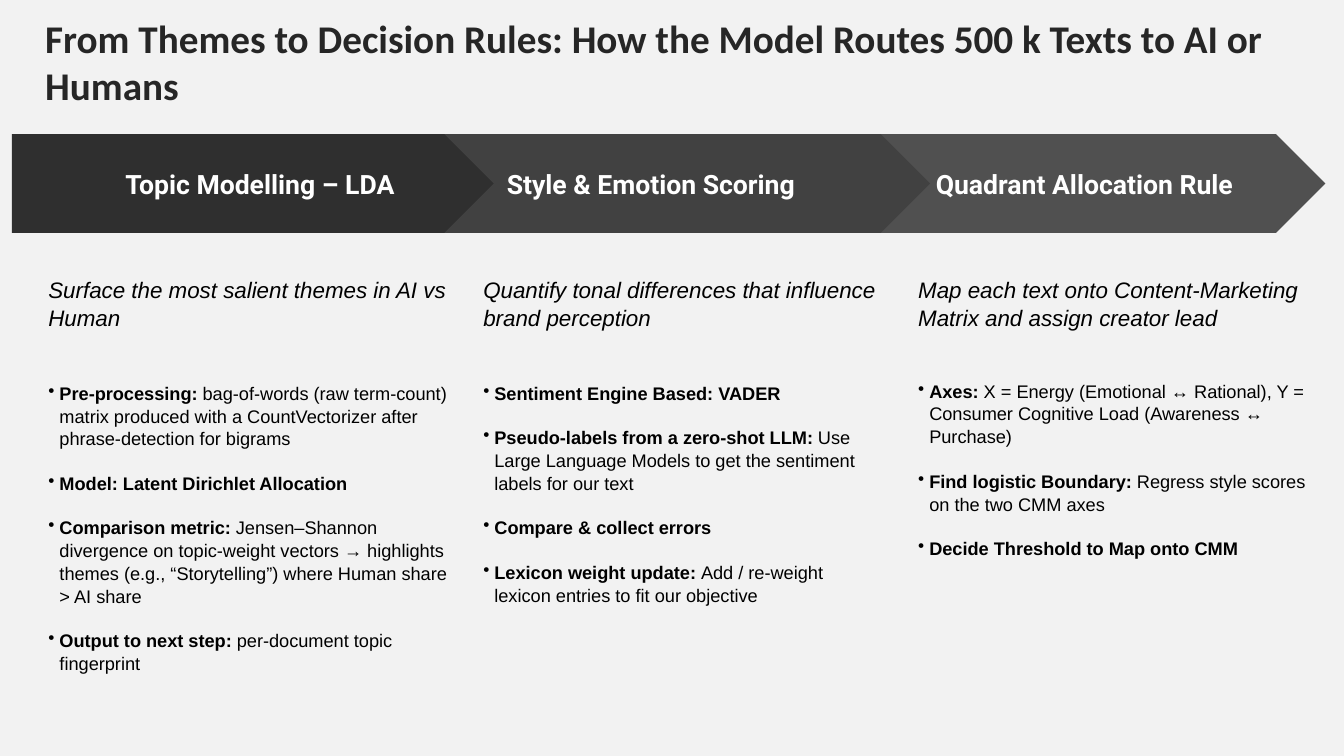
from lxml import etree
from pptx import Presentation, util as u
from pptx.dml.color import RGBColor
from pptx.enum import shapes, text
from pptx.oxml.ns import qn

# Content: each point is (bold lead-in, plain rest)
TITLE = "From Themes to Decision Rules: How the Model Routes 500 k Texts to AI or Humans"
STAGES = [
    dict(name="Topic Modelling – LDA",
         aim="Surface the most salient themes in AI vs Human",
         points=[
             ("Pre‑processing:", " bag‑of‑words (raw term‑count) matrix produced with a "
              "CountVectorizer after phrase‑detection for bigrams"),
             ("Model: Latent Dirichlet Allocation", ""),
             ("Comparison metric:", " Jensen–Shannon divergence on topic‑weight vectors → "
              "highlights themes (e.g., “Storytelling”) where Human share > AI share"),
             ("Output to next step:", " per‑document topic fingerprint")]),
    dict(name="Style & Emotion Scoring",
         aim="Quantify tonal differences that influence brand perception",
         points=[
             ("Sentiment Engine Based: VADER", ""),
             ("Pseudo‑labels from a zero‑shot LLM: ",
              "Use Large Language Models to get the sentiment labels for our text"),
             ("Compare & collect errors", ""),
             ("Lexicon weight update: ",
              "Add / re‑weight lexicon entries to fit our objective")]),
    dict(name="Quadrant Allocation Rule",
         aim="Map each text onto Content‑Marketing Matrix and assign creator lead",
         points=[
             ("Axes: ", "X = Energy (Emotional ↔ Rational), "
              "Y = Consumer Cognitive Load (Awareness ↔ Purchase)"),
             ("Find logistic Boundary: ", "Regress style scores on the two CMM axes"),
             ("Decide Threshold to Map onto CMM", "")]),
]

THEME = dict(back="F2F2F2", title="262626", body="000000", label="FFFFFF",
             bands=["2F2F2F", "414141", "505050"],
             title_pt=28, label_pt=19, aim_pt=16, point_pt=13,
             head="Calibri", font="Arial", band_font="Roboto")

# Layout in cm
PAD = 0.33
COL_X, COL_STEP, COL_Y = 0.89, 10.96, 6.6
COL_SIZE = [(10.74, 11.3), (10.74, 9.68), (10.44, 9.68)]
BAND_Y, BAND_H = 3.38, 2.49
BANDS = [(0.3, 13.13, PAD), (11.2, 12.24, PAD), (21.16, 12.24, 1.18)]  # left, width, inset
AIM_GAP = [36, 36, 34.5]  # points
POINT_GAP, LEADING, HANG = 15.6, 1.04, 0.28


def put(para, words, size, color, font=THEME["font"], bold=False, italic=False):
    run = para.add_run()
    run.text = words
    f = run.font
    f.name, f.size, f.bold, f.italic = font, u.Pt(size), bold, italic
    f.color.rgb = RGBColor.from_string(color)


def frame(shape, anchor, left=PAD, pad=PAD):
    tf = shape.text_frame
    tf.word_wrap, tf.auto_size = True, text.MSO_AUTO_SIZE.NONE
    tf.vertical_anchor = anchor
    tf.margin_left = u.Cm(left)
    tf.margin_right = tf.margin_top = tf.margin_bottom = u.Cm(pad)
    return tf


def bullet(para):
    props = para._p.get_or_add_pPr()
    props.set("marL", str(u.Cm(HANG)))
    props.set("indent", str(-u.Cm(HANG)))
    etree.SubElement(props, qn("a:buChar")).set("char", "•")


def column(slide, i, stage):
    wide, high = COL_SIZE[i]
    box = slide.shapes.add_textbox(u.Cm(COL_X + i * COL_STEP), u.Cm(COL_Y),
                                   u.Cm(wide), u.Cm(high))
    tf = frame(box, text.MSO_ANCHOR.TOP)
    para = tf.paragraphs[0]
    para.line_spacing = LEADING
    put(para, stage["aim"], THEME["aim_pt"], THEME["body"], italic=True)
    for n, (lead, rest) in enumerate(stage["points"]):
        para = tf.add_paragraph()
        bullet(para)
        para.line_spacing = LEADING
        para.space_before = u.Pt(POINT_GAP if n else AIM_GAP[i])
        put(para, lead, THEME["point_pt"], THEME["body"], bold=True)
        if rest:
            put(para, rest, THEME["point_pt"], THEME["body"])


def band(slide, i, stage):
    left, wide, inset = BANDS[i]
    kind = shapes.MSO_SHAPE.CHEVRON if i else shapes.MSO_SHAPE.PENTAGON
    arrow = slide.shapes.add_shape(kind, u.Cm(left), u.Cm(BAND_Y), u.Cm(wide), u.Cm(BAND_H))
    arrow.shadow.inherit = False
    arrow.fill.solid()
    arrow.fill.fore_color.rgb = RGBColor.from_string(THEME["bands"][i])
    arrow.line.fill.background()
    para = frame(arrow, text.MSO_ANCHOR.MIDDLE, left=inset).paragraphs[0]
    para.alignment = text.PP_ALIGN.LEFT if i else text.PP_ALIGN.CENTER
    put(para, stage["name"], THEME["label_pt"], THEME["label"],
        font=THEME["band_font"], bold=True)


def main():
    deck = Presentation()
    deck.slide_width, deck.slide_height = u.Cm(33.87), u.Cm(19.05)
    slide = deck.slides.add_slide(deck.slide_layouts[5])
    slide.background.fill.solid()
    slide.background.fill.fore_color.rgb = RGBColor.from_string(THEME["back"])

    # Title
    head = slide.shapes.title
    head.left, head.top, head.width, head.height = map(u.Cm, (0.89, 0.23, 33.68, 2.64))
    para = frame(head, text.MSO_ANCHOR.TOP, left=0.25, pad=0.13).paragraphs[0]
    para.alignment = text.PP_ALIGN.LEFT
    put(para, TITLE, THEME["title_pt"], THEME["title"], font=THEME["head"], bold=True)

    # Columns, then bands with the middle one on top
    for i, stage in enumerate(STAGES):
        column(slide, i, stage)
    for i in (2, 0, 1):
        band(slide, i, STAGES[i])
    deck.save("out.pptx")


if __name__ == "__main__":
    main()
